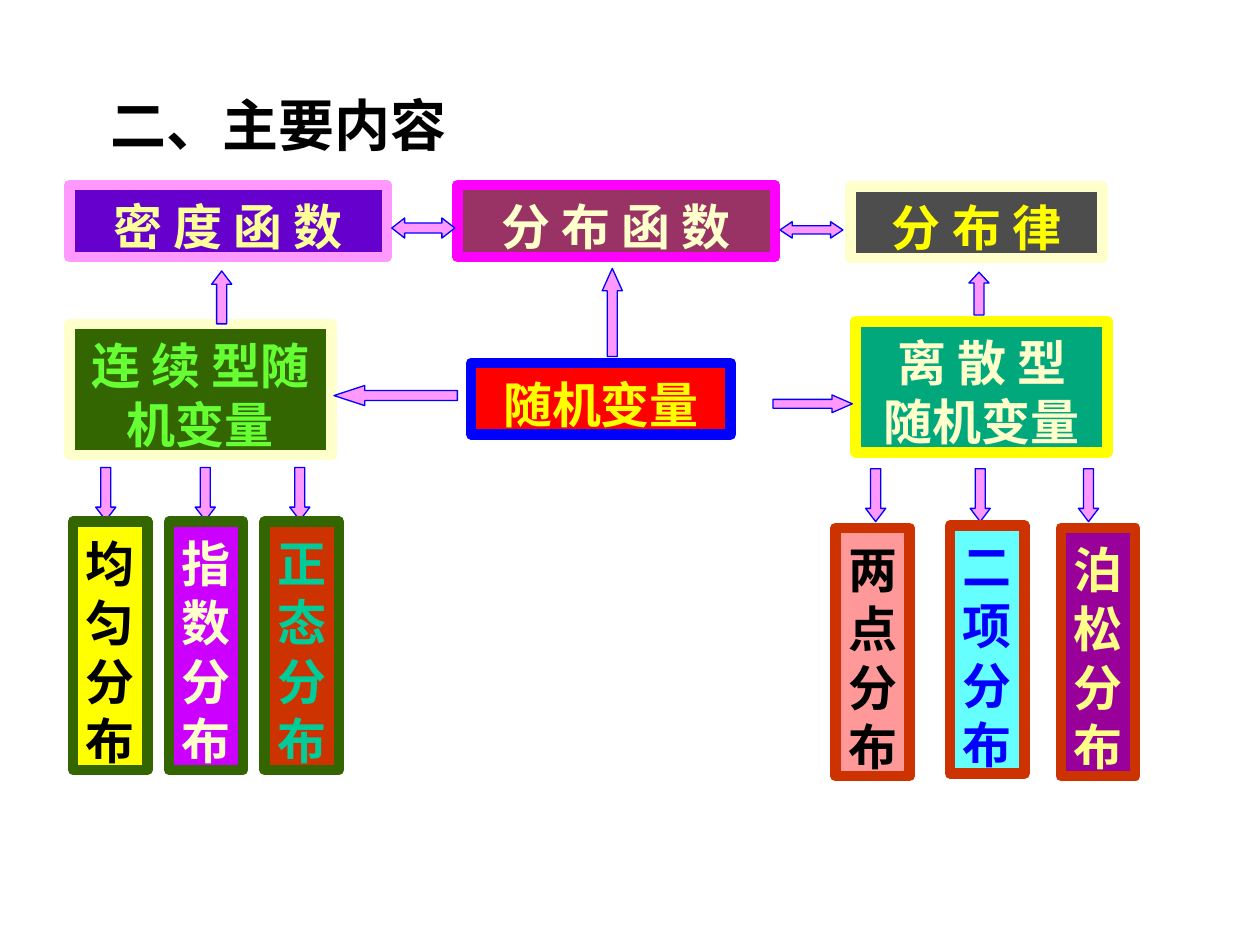
from lxml.etree import SubElement
from pptx import Presentation
from pptx.dml.color import RGBColor
from pptx.enum.shapes import MSO_SHAPE
from pptx.enum.text import MSO_ANCHOR, MSO_AUTO_SIZE, PP_ALIGN
from pptx.oxml.ns import qn
from pptx.util import Inches, Pt

WIDE, HIGH = Inches(10), Inches(7.5)
SANS = "Noto Sans CJK SC"
PINK, BLUE = "FF99FF", "0000FF"
CREAM, GREEN, RUST = "FFFFCC", "336600", "CC3300"
LEAD = 1.205  # line height per point of type


def place(x, y, w, h):
    """Turn percent shares of the slide into lengths."""
    return (int(WIDE * x / 100), int(HIGH * y / 100),
            int(WIDE * w / 100), int(HIGH * h / 100))


def paint(form, hue):
    """Give a fill or a font one solid colour."""
    if hasattr(form, "solid"):
        form.solid()
        form.fore_color.rgb = RGBColor.from_string(hue)
    else:
        form.color.rgb = RGBColor.from_string(hue)


def write(shape, text, hue, size=28, face=SANS, align=PP_ALIGN.CENTER, wrap=True):
    frame = shape.text_frame
    frame.text = text
    frame.word_wrap = wrap
    frame.auto_size = MSO_AUTO_SIZE.SHAPE_TO_FIT_TEXT
    frame.vertical_anchor = MSO_ANCHOR.TOP
    frame.margin_top, frame.margin_bottom = Inches(0.09), Inches(0.01)
    for para in frame.paragraphs:
        para.alignment = align
        para.line_spacing = Pt(size * LEAD)
        font = para.font
        font.size, font.bold, font.name = Pt(size), True, face
        paint(font, hue)
        # East Asian face for the Chinese text
        for run in para.runs:
            SubElement(run._r.get_or_add_rPr(), qn("a:ea"), typeface=SANS)


def draw(slide, kind, area, fill, edge, width):
    shape = slide.shapes.add_shape(kind, *place(*area))
    shape.shadow.inherit = False
    paint(shape.fill, fill)
    paint(shape.line.fill, edge)
    shape.line.width = Pt(width)
    return shape


def box(slide, area, text, fill, edge, hue, wrap=True):
    shape = draw(slide, MSO_SHAPE.RECTANGLE, area, fill, edge, 6)
    write(shape, text, hue, wrap=wrap)


def arrow(slide, kind, area, head):
    shape = draw(slide, kind, area, PINK, BLUE, 0.75)
    shape.adjustments[0], shape.adjustments[1] = 0.5, head


def branch(slide, top, drop, edge, leaves):
    """Draw one row of down arrows, each with its upright box."""
    for tip, left, lower, text, fill, hue in leaves:
        arrow(slide, MSO_SHAPE.DOWN_ARROW, (tip, top, 1.6, 5.6), 0.66)
        box(slide, (left, drop + lower, 5.9, 26.27), "\n".join(text),
            fill, edge, hue, wrap=False)


def main():
    deck = Presentation()
    deck.slide_width, deck.slide_height = WIDE, HIGH
    slide = deck.slides.add_slide(deck.slide_layouts[6])

    # Title
    title = slide.shapes.add_textbox(*place(7.8, 8.4, 30.9, 8.53))
    write(title, "二、主要内容", "000000", 32, "Times New Roman", PP_ALIGN.LEFT, False)

    # Function row
    for left, top, width, text, fill, edge, hue in (
        (5.5, 19.6, 25.2, "密 度 函 数", "6600CC", PINK, "FFFF99"),
        (36.3, 19.6, 25.2, "分 布 函 数", "993366", "FF00FF", CREAM),
        (67.5, 19.73, 20, "分 布 律", "4D4D4D", CREAM, "FFFF00"),
    ):
        box(slide, (left, top, width, 7.6), text, fill, edge, hue)

    # Variable row
    box(slide, (37.4, 38.4, 20.6, 7.6), "随机变量", "FF0000", BLUE, "FFFF00")
    box(slide, (67.9, 34, 20, 13.87), "离 散 型\n随机变量", "00A87C", "FFFF00", CREAM)
    box(slide, (5.5, 34.27, 20.8, 13.87), "连 续 型随机变量", GREEN, CREAM, "66FF33")

    # Arrows between the boxes
    for kind, area, head in (
        (MSO_SHAPE.RIGHT_ARROW, (61.35, 41.8, 6.3, 1.87), 1.15),
        (MSO_SHAPE.LEFT_ARROW, (26.5, 40.8, 9.8, 2.13), 1.53),
        (MSO_SHAPE.UP_ARROW, (47.8, 28.4, 1.6, 9.33), 1.11),
        (MSO_SHAPE.UP_ARROW, (76.9, 28.8, 1.6, 4.53), 0.54),
        (MSO_SHAPE.UP_ARROW, (16.8, 28.67, 1.6, 5.6), 0.66),
        (MSO_SHAPE.LEFT_RIGHT_ARROW, (31.1, 23.07, 5, 2.13), 0.64),
        (MSO_SHAPE.LEFT_RIGHT_ARROW, (61.9, 23.47, 5, 1.73), 0.75),
    ):
        arrow(slide, kind, area, head)

    # Continuous laws, then discrete laws
    branch(slide, 49.47, 55.2, GREEN, (
        (7.6, 5.8, 0, "均匀分布", "FFFF00", "000000"),
        (15.5, 13.4, 0, "指数分布", "CC00FF", CREAM),
        (23, 21, 0, "正态分布", RUST, "00CC99"),
    ))
    branch(slide, 49.6, 55.6, RUST, (
        (68.7, 66.3, 0.27, "两点分布", "FF9999", "000000"),
        (77, 75.4, 0, "二项分布", "66FFFF", BLUE),
        (85.6, 84.2, 0.27, "泊松分布", "990099", "FFFF87"),
    ))

    deck.save("out.pptx")


if __name__ == "__main__":
    main()
